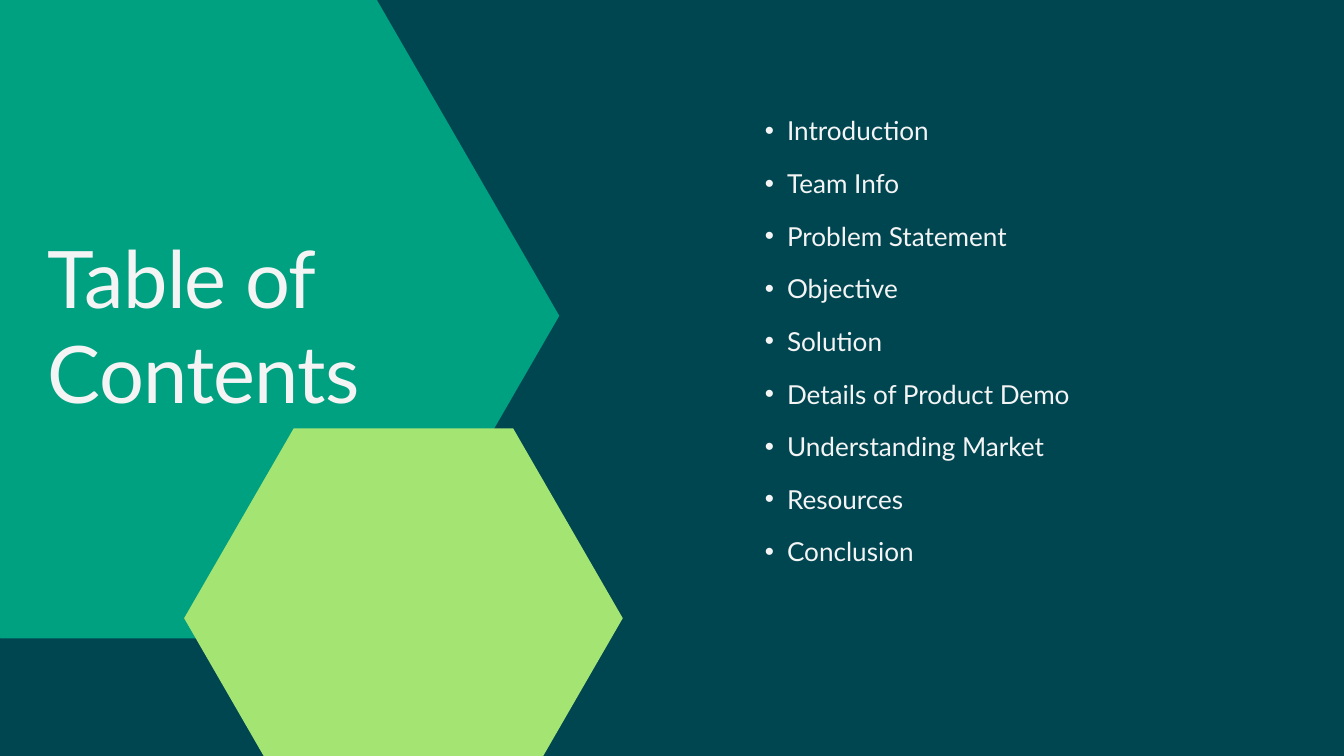
import math
from dataclasses import dataclass

from lxml import etree
from pptx import Presentation
from pptx import util as u
from pptx.dml.color import RGBColor
from pptx.enum import text
from pptx.oxml.ns import qn


@dataclass(frozen=True)
class Theme:
    background: str = "004651"
    teal: str = "00A181"
    lime: str = "A4E473"
    ink: str = "F4F4F4"
    font: str = "Lato"
    title_size: float = 85
    title_leading: float = 102
    item_size: float = 28
    item_leading: float = 39.2


class SlideBuilder:
    def __init__(self, page, theme):
        self.page = page
        self.theme = theme

    def background(self):
        fill = self.page.background.fill
        fill.solid()
        fill.fore_color.rgb = RGBColor.from_string(self.theme.background)

    def hexagon(self, center_x, center_y, radius, color):
        """Regular hexagon, pointing left and right."""
        corners = [
            (u.Cm(center_x + radius * math.cos(k * math.pi / 3)),
             u.Cm(center_y + radius * math.sin(k * math.pi / 3)))
            for k in range(6)
        ]
        outline = self.page.shapes.build_freeform(*corners[0])
        outline.add_line_segments(corners[1:], close=True)
        shape = outline.convert_to_shape()
        shape.shadow.inherit = False
        shape.fill.solid()
        shape.fill.fore_color.rgb = RGBColor.from_string(color)
        shape.line.fill.background()

    def text_box(self, content, area, size, leading):
        box = self.page.shapes.add_textbox(*map(u.Cm, area))
        frame_format = {
            "word_wrap": True,
            "auto_size": text.MSO_AUTO_SIZE.SHAPE_TO_FIT_TEXT,
            "margin_left": 0,
            "margin_top": 0,
            "margin_right": 0,
            "margin_bottom": 0,
        }
        for name, value in frame_format.items():
            setattr(box.text_frame, name, value)
        para = box.text_frame.paragraphs[0]
        para.line_spacing = u.Pt(leading)
        span = para.add_run()
        span.text = content
        for name, value in {"name": self.theme.font, "size": u.Pt(size)}.items():
            setattr(span.font, name, value)
        span.font.color.rgb = RGBColor.from_string(self.theme.ink)
        return para

    def title(self, content, area):
        para = self.text_box(content, area, self.theme.title_size,
                             self.theme.title_leading)
        para.runs[0].font._element.set("spc", "-80")

    def bullet(self, content, area):
        para = self.text_box(content, area, self.theme.item_size,
                             self.theme.item_leading)
        para.level = 1
        properties = para._p.get_or_add_pPr()
        for name, value in {"marL": u.Cm(1.68), "indent": u.Cm(-0.84)}.items():
            properties.set(name, str(int(value)))
        etree.SubElement(properties, qn("a:buFont")).set("typeface", "Arial")
        etree.SubElement(properties, qn("a:buChar")).set("char", "•")


TOPICS = [
    "Introduction",
    "Team Info",
    "Problem Statement",
    "Objective",
    "Solution",
    "Details of Product Demo",
    "Understanding Market",
    "Resources",
    "Conclusion",
]
TOPIC_TOP, TOPIC_PITCH = 4.14, 1.99


def main():
    deck = Presentation()
    deck.slide_width, deck.slide_height = u.Cm(50.8), u.Cm(28.58)
    theme = Theme()
    builder = SlideBuilder(deck.slides.add_slide(deck.slide_layouts[6]), theme)

    # Background and bleeding hexagons
    builder.background()
    builder.hexagon(7.06, 11.94, 14.08, theme.teal)
    builder.hexagon(15.25, 23.37, 8.29, theme.lime)

    # Title
    builder.title("Table of Contents", (1.8, 8.66, 16.33, 7.14))

    # Topics, evenly spaced
    for row, topic in enumerate(TOPICS):
        builder.bullet(topic, (28.07, TOPIC_TOP + row * TOPIC_PITCH, 16.97, 1.35))

    deck.save("out.pptx")


if __name__ == "__main__":
    main()
